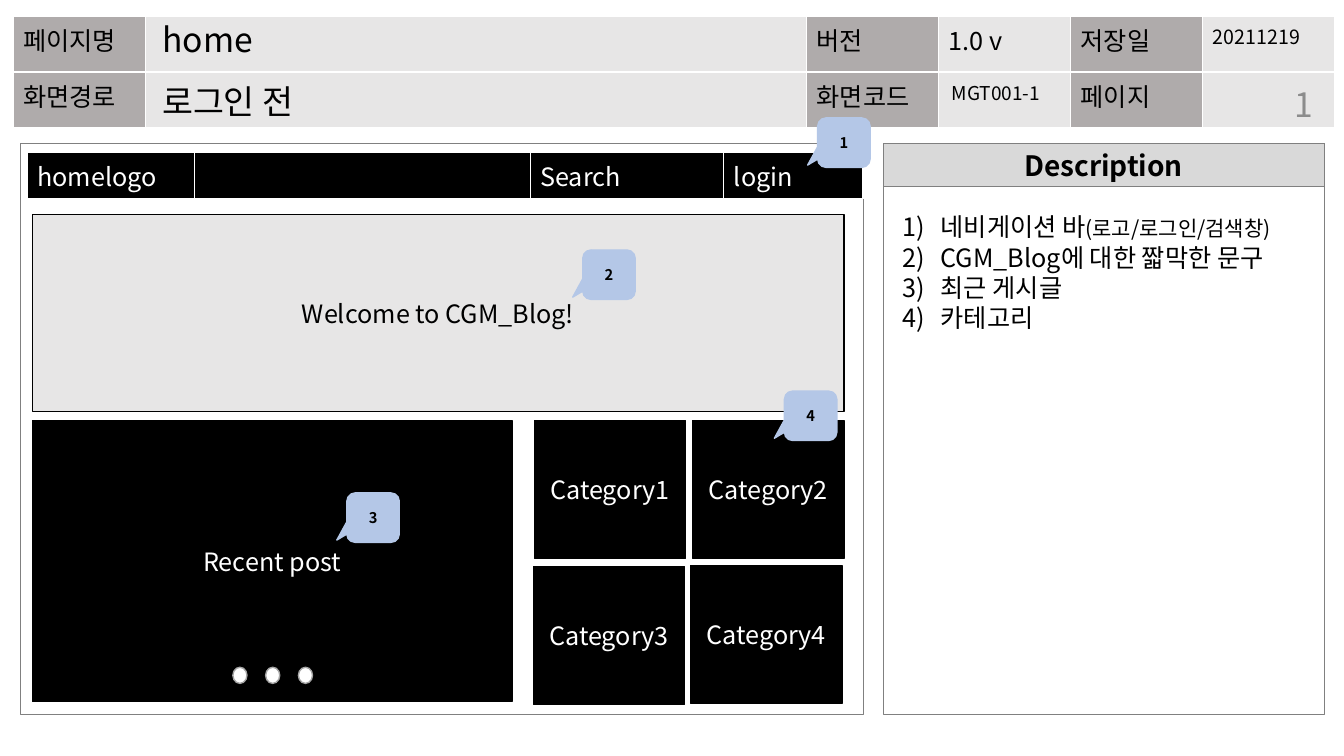
from lxml.etree import SubElement
from pptx import Presentation
from pptx.dml.color import RGBColor
from pptx.enum.shapes import MSO_SHAPE as Shape
from pptx.enum.text import MSO_ANCHOR as Anchor, MSO_AUTO_SIZE as AutoSize, PP_ALIGN as Align
from pptx.oxml.ns import qn
from pptx.util import Inches, Pt

FONT = "Noto Sans CJK KR"
BLACK, WHITE = "000000", "FFFFFF"
LABEL_GRAY, LIGHT_GRAY, CALLOUT_BLUE = "AFABAB", "E7E6E6", "B4C7E7"


def color(value):
    return RGBColor.from_string(value)


def format_paragraph(paragraph, size, text_color=BLACK, bold=False, align=Align.LEFT):
    paragraph.alignment = align
    for run in paragraph.runs:
        run.font.name = FONT
        run.font.size = Pt(size)
        run.font.bold = bold
        run.font.color.rgb = color(text_color)
        SubElement(run.font._element, qn("a:ea"), typeface=FONT)


def place(shape, left, top, width, height):
    shape.left, shape.top = Inches(left), Inches(top)
    shape.width, shape.height = Inches(width), Inches(height)


def add_box(shapes, kind, position, fill, line, line_width=1.0):
    shape = shapes.add_shape(kind, *map(Inches, position))
    shape.shadow.inherit = False
    if fill:
        shape.fill.solid()
        shape.fill.fore_color.rgb = color(fill)
    else:
        shape.fill.background()
    shape.line.color.rgb = color(line)
    shape.line.width = Pt(line_width)
    return shape


def set_label(shape, text, size, text_color=BLACK, bold=False):
    frame = shape.text_frame
    frame.text = text
    frame.word_wrap = True
    frame.vertical_anchor = Anchor.MIDDLE
    format_paragraph(frame.paragraphs[0], size, text_color, bold, Align.CENTER)


def add_block(slide, text, position, fill=BLACK, text_color=WHITE):
    block = add_box(slide.shapes, Shape.RECTANGLE, position, fill, BLACK)
    set_label(block, text, 18, text_color)


def add_callout(slide, number, left, top):
    callout = add_box(slide.shapes, Shape.ROUNDED_RECTANGULAR_CALLOUT,
                      (left, top, 0.54, 0.51), CALLOUT_BLUE, CALLOUT_BLUE)
    place(callout, left, top, 0.52, 0.49)
    for index, value in enumerate((-0.692, 0.455, 0.167)):
        callout.adjustments[index] = value
    set_label(callout, str(number), 10.5, bold=True)
    frame = callout.text_frame
    frame.margin_left = frame.margin_right = frame.margin_top = frame.margin_bottom = 0


def set_cell(cell, text, size, fill, text_color):
    properties = cell._tc.get_or_add_tcPr()
    for side in ("a:lnL", "a:lnR", "a:lnT", "a:lnB"):
        border = SubElement(properties, qn(side), w=str(Pt(1)))
        SubElement(SubElement(border, qn("a:solidFill")), qn("a:srgbClr"), val=WHITE)
    cell.fill.solid()
    cell.fill.fore_color.rgb = color(fill)
    cell.text = text
    format_paragraph(cell.text_frame.paragraphs[0], size, text_color)


def add_grid(slide, left, top, widths, row_height, rows, text_color):
    """Each cell in rows is (text, size, fill)."""
    table = slide.shapes.add_table(
        len(rows), len(widths), Inches(left), Inches(top),
        Inches(sum(widths)), Inches(row_height * len(rows))).table
    table.first_row = table.horz_banding = False
    for column, width in zip(table.columns, widths):
        column.width = Inches(width)
    for row_index, row in enumerate(rows):
        table.rows[row_index].height = Inches(row_height)
        for column_index, (text, size, fill) in enumerate(row):
            set_cell(table.cell(row_index, column_index), text, size, fill, text_color)


def set_field(shape, text, size, line_spacing):
    frame = shape.text_frame
    frame.text = text
    frame.word_wrap = True
    frame.auto_size = AutoSize.NONE
    frame.vertical_anchor = Anchor.TOP
    paragraph = frame.paragraphs[0]
    paragraph.line_spacing = line_spacing
    paragraph.space_before = Pt(10)
    format_paragraph(paragraph, size)


def add_text_box(slide, position):
    return slide.shapes.add_textbox(*map(Inches, position))


def add_header(slide):
    rows = [
        [("페이지명", 18, LABEL_GRAY), ("", 18, LIGHT_GRAY), ("버전", 18, LABEL_GRAY),
         ("1.0 v", 18, LIGHT_GRAY), ("저장일", 18, LABEL_GRAY), ("20211219", 14, LIGHT_GRAY)],
        [("화면경로", 18, LABEL_GRAY), ("", 18, LIGHT_GRAY), ("화면코드", 18, LABEL_GRAY),
         ("", 18, LIGHT_GRAY), ("페이지", 18, LABEL_GRAY), ("", 18, LIGHT_GRAY)],
    ]
    add_grid(slide, 0.13, 0.16, [1.31, 6.56] + [1.31] * 4, 0.555, rows, BLACK)

    # The title lies on top of the header table
    title = slide.shapes.title
    title.element.getparent().append(title.element)
    place(title, 1.51, 0.18, 4.91, 0.51)
    set_field(title, "home", 24, 0.9)
    set_field(add_text_box(slide, (1.51, 0.8, 6.42, 0.51)), "로그인 전", 24, 0.9)
    set_field(add_text_box(slide, (9.34, 0.8, 1.18, 0.43)), "MGT001-1", 13.6, 0.8)

    page_number = add_text_box(slide, (11.94, 0.78, 1.18, 0.5))
    set_label(page_number, "1", 24, "8C8C8C")
    page_number.text_frame.paragraphs[0].alignment = Align.RIGHT


def add_panels(slide):
    heading = add_box(slide.shapes, Shape.RECTANGLE, (8.76, 1.42, 4.37, 0.43),
                      "D9D9D9", "808080", 0.25)
    set_label(heading, "Description", 20, bold=True)
    for left, width in ((0.2, 8.36), (8.76, 4.37)):
        add_box(slide.shapes, Shape.RECTANGLE, (left, 1.42, width, 5.67), None, "808080", 0.25)


def fill_description(body):
    place(body, 8.85, 2.05, 4.19, 1.31)
    frame = body.text_frame
    frame.auto_size = AutoSize.SHAPE_TO_FIT_TEXT
    items = ["네비게이션 바", "CGM_Blog에 대한 짧막한 문구", "최근 게시글", "카테고리"]
    frame.text = "\n".join(items)
    frame.paragraphs[0].add_run().text = "(로고/로그인/검색창)"
    for paragraph in frame.paragraphs:
        format_paragraph(paragraph, 18)
        paragraph.space_before = Pt(0)
        paragraph.line_spacing = 1.0
        properties = paragraph._p.get_or_add_pPr()
        properties.set("marL", str(Inches(0.38)))
        properties.set("indent", str(Inches(-0.38)))
        SubElement(properties, qn("a:buFont"), typeface="+mj-lt")
        SubElement(properties, qn("a:buAutoNum"), type="arabicParenR")
    frame.paragraphs[0].runs[1].font.size = Pt(15)


def add_wireframe(slide):
    # Main areas
    add_block(slide, "Recent post", (0.32, 4.17, 4.76, 2.79))
    add_block(slide, "Welcome to CGM_Blog!", (0.32, 2.13, 8.05, 1.95), LIGHT_GRAY, BLACK)

    # Navigation bar
    labels = ("homelogo", "", "Search", "login")
    add_grid(slide, 0.27, 1.51, [1.66, 3.33, 1.92, 1.38], 0.46,
             [[(label, 18, BLACK) for label in labels]], WHITE)

    # Pager dots
    dots = slide.shapes.add_group_shape()
    for index in range(3):
        add_box(dots.shapes, Shape.OVAL, (2.31 + 0.325 * index, 6.62, 0.14, 0.16),
                WHITE, "A5A5A5")

    # Categories
    corners = ((5.3, 4.17), (6.87, 4.17), (5.29, 5.62), (6.85, 5.61))
    for number, (left, top) in enumerate(corners, 1):
        add_block(slide, f"Category{number}", (left, top, 1.5, 1.37))

    # Numbered callouts
    callouts = ((8.11, 1.17), (5.78, 2.48), (3.44, 4.89), (7.78, 3.88))
    for number, (left, top) in enumerate(callouts, 1):
        add_callout(slide, number, left, top)


def main():
    presentation = Presentation()
    presentation.slide_width, presentation.slide_height = Inches(13.33), Inches(7.5)
    slide = presentation.slides.add_slide(presentation.slide_layouts[1])
    add_header(slide)
    add_panels(slide)
    fill_description(slide.placeholders[1])
    add_wireframe(slide)
    presentation.save("out.pptx")


if __name__ == "__main__":
    main()
